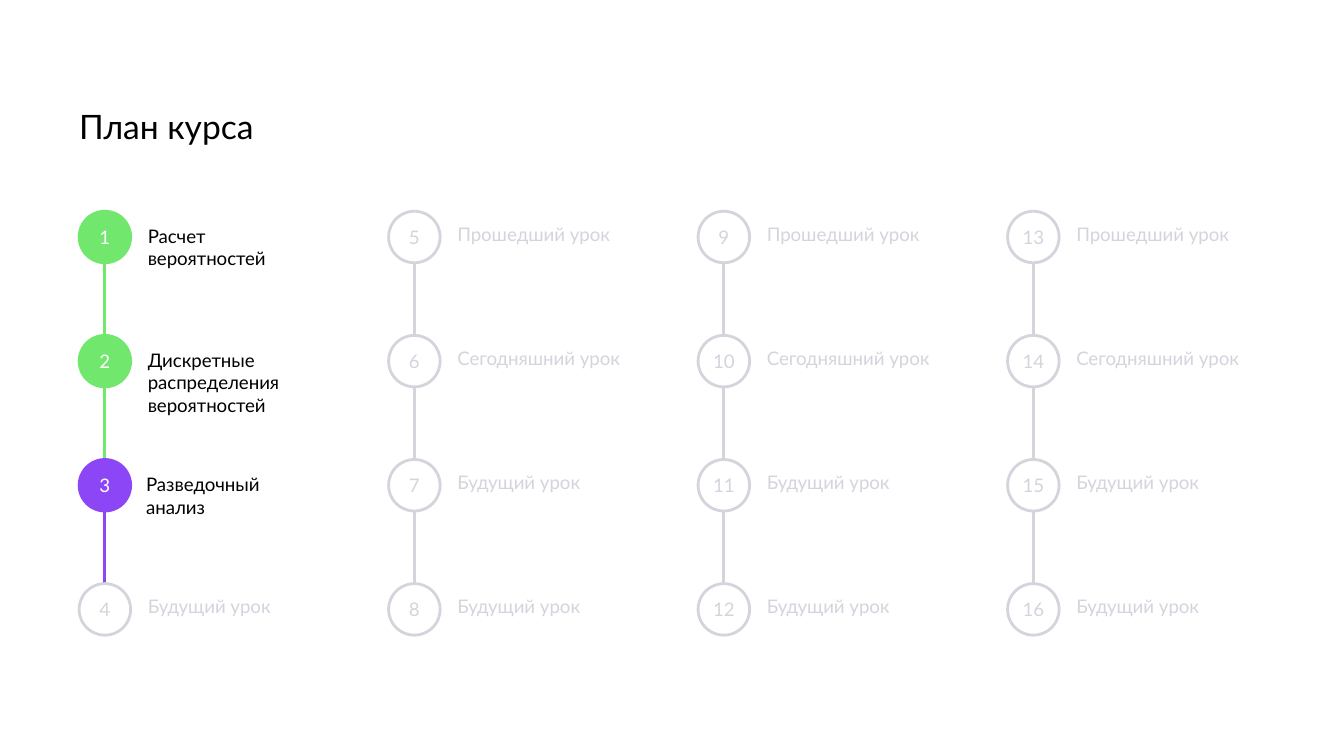
from lxml.etree import SubElement
from pptx import Presentation
from pptx.dml.color import RGBColor
from pptx.enum.shapes import MSO_CONNECTOR as LINE, MSO_SHAPE as SHAPE
from pptx.enum.text import MSO_ANCHOR as ANCHOR, PP_ALIGN as ALIGN
from pptx.oxml.ns import qn
from pptx.util import Pt

BLACK = RGBColor(0x00, 0x00, 0x00)
WHITE = RGBColor(0xFF, 0xFF, 0xFF)
GREEN = RGBColor(0x71, 0xE7, 0x6E)
VIOLET = RGBColor(0x8D, 0x46, 0xF6)
GREY = RGBColor(0xD4, 0xD4, 0xDD)

LEFT, TOP = 42.4, 113.2
COL_STEP, ROW_STEP = 165.8, 66.5
DOT = 27.6
GAP = 36.8

FUTURE = ["Прошедший урок", "Сегодняшний урок", "Будущий урок", "Будущий урок"]
COLUMNS = [
    ["Расчет вероятностей", "Дискретные распределения вероятностей",
     "Разведочный анализ", "Будущий урок"],
    FUTURE, FUTURE, FUTURE,
]
ACTIVE = {1: GREEN, 2: GREEN, 3: VIOLET}
NUDGE = {3: -0.9}


class Board:
    font = "Lato"
    size = 10
    weight = 1.5

    def __init__(self, slide):
        self.slide = slide

    def label(self, frame, text, color, size, insets):
        frame.word_wrap = True
        (frame.margin_left, frame.margin_top,
         frame.margin_right, frame.margin_bottom) = map(Pt, insets)
        para = frame.paragraphs[0]
        para.text = text
        para.font.name = self.font
        para.font.size = Pt(size)
        para.font.color.rgb = color
        return para

    def text(self, x, y, w, h, text, color, size=size, insets=(0, 7.2, 7.2, 7.2)):
        box = self.slide.shapes.add_textbox(Pt(x), Pt(y), Pt(w), Pt(h))
        self.label(box.text_frame, text, color, size, insets)

    def dot(self, x, y, num, fill, line, color):
        dot = self.slide.shapes.add_shape(SHAPE.OVAL, Pt(x), Pt(y), Pt(DOT), Pt(DOT))
        dot.shadow.inherit = False
        dot.fill.solid()
        dot.fill.fore_color.rgb = fill
        dot.line.color.rgb = line
        dot.line.width = Pt(self.weight)
        frame = dot.text_frame
        frame.vertical_anchor = ANCHOR.MIDDLE
        para = self.label(frame, str(num), color, self.size, (0, 0, 0, 0))
        para.alignment = ALIGN.CENTER

    def link(self, x, y, end, color):
        """Draw a vertical line from y down to end."""
        link = self.slide.shapes.add_connector(LINE.STRAIGHT, Pt(x), Pt(y), Pt(x), Pt(end))
        link.line.color.rgb = color
        link.line.width = Pt(self.weight)
        SubElement(link._element.spPr, qn("a:effectLst"))


def main():
    deck = Presentation()
    deck.slide_width, deck.slide_height = Pt(720), Pt(405)
    board = Board(deck.slides.add_slide(deck.slide_layouts[6]))

    board.text(LEFT, 56.9, 635, 25.2, "План курса", BLACK, 18, (0, 0, 0, 0))
    for col, names in enumerate(COLUMNS):
        x = LEFT + col * COL_STEP
        for row, name in enumerate(names):
            y = TOP + row * ROW_STEP
            num = col * len(names) + row + 1
            live = num in ACTIVE
            tint = ACTIVE.get(num, GREY)
            board.dot(x, y, num, tint if live else WHITE, tint, WHITE if live else GREY)
            board.text(x + GAP + NUDGE.get(num, 0), y, 100.8, 26.7, name,
                       BLACK if live else GREY)
            if row < len(names) - 1:
                board.link(x + DOT / 2, y + DOT, y + ROW_STEP, tint)

    deck.save("out.pptx")


if __name__ == "__main__":
    main()
